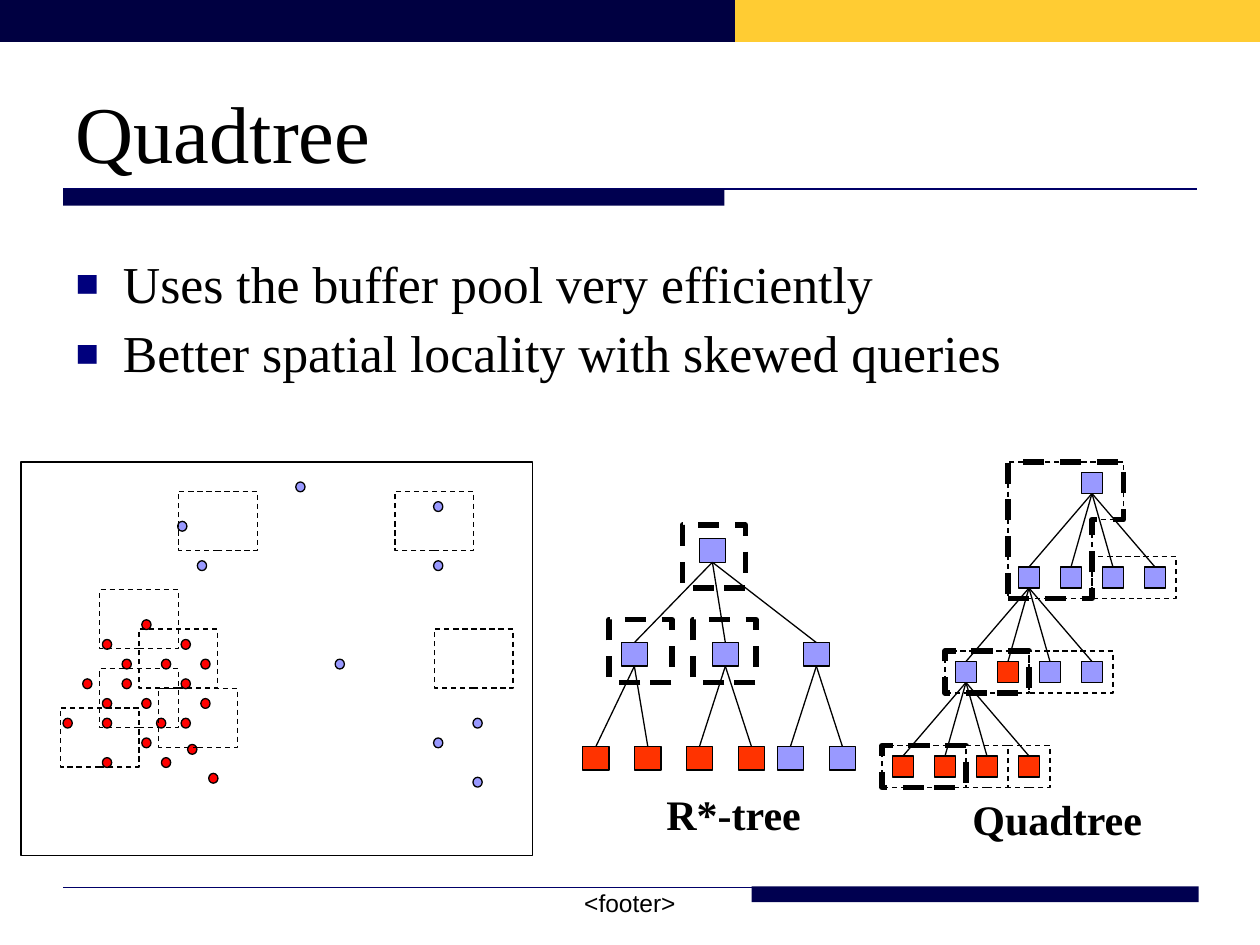
import pptx
import pptx.util
import pptx.dml.color
import pptx.enum.dml
import pptx.enum.shapes
import pptx.enum.text
import pptx.oxml
import pptx.oxml.ns

Pt = pptx.util.Pt
Kind = pptx.enum.shapes.MSO_SHAPE
Align = pptx.enum.text.PP_ALIGN
Anchor = pptx.enum.text.MSO_ANCHOR

COLORS = {
    "black": "000000", "navy": "000041", "bar": "000050", "rule": "000067",
    "gold": "FFCC33", "bullet": "00007D", "blue": "9999FF",
    "orange": "FF3300", "red": "FF0000",
}
SERIF = "Times New Roman"

# Plot of points: one grid step for dots and windows
STEP = 11.25
RED_DOTS = [(4, 0), (3, 2), (5, 2), (4, 4), (2, 4), (6, 5), (2, 1), (1, 3),
            (3, 3), (2, 5), (0, 5), (4, 6), (2, 7), (6, 3), (5, 7),
            (6.33, 6.33), (7, 4), (6, 1), (7, 2), (4.75, 5), (7.4, 7.8)]
BLUE_DOTS = [(6, -5), (7, -3), (19, -3), (19, -6), (12, -7), (19, 6),
             (21, 5), (14, 2), (21, 8)]
WINDOWS = [(2, 0), (4, 2), (2, 4), (0, 6), (6, -5), (17, -5), (19, 2), (5, 5)]

# Quadtree pages, on a pitch of 24 points
PITCH = 24
HOT = [(540, 372, 48, PITCH), (504, 426, 48, PITCH)]
COLD = [(576, 426, PITCH, PITCH), (552, 426, PITCH, PITCH),
        (588, 372, 48, PITCH), (624, 318, 48, PITCH)]
TOP_PAGE = [(576, 342), (624, 342), (624, 297), (642, 297), (642, 264),
            (576, 264)]


def rgb(name):
    return pptx.dml.color.RGBColor.from_string(COLORS[name])


def style(shape, fill=None, line=None, width=0.75, dash=False):
    shape.shadow.inherit = False
    if fill:
        shape.fill.solid()
        shape.fill.fore_color.rgb = rgb(fill)
    else:
        shape.fill.background()
    if line:
        shape.line.color.rgb = rgb(line)
        shape.line.width = Pt(width)
        if dash:
            shape.line.dash_style = pptx.enum.dml.MSO_LINE.DASH
    else:
        shape.line.fill.background()
    return shape


def box(slide, x, y, w, h, kind=Kind.RECTANGLE, **look):
    shape = slide.shapes.add_shape(kind, Pt(x), Pt(y), Pt(w), Pt(h))
    return style(shape, **look)


def frame(slide, x, y, w, h, width=0.75):
    """Draw a dashed box without fill."""
    return box(slide, x, y, w, h, line="black", width=width, dash=True)


def outline(slide, points, width):
    """Draw a closed dashed outline through the points."""
    first, *rest = [(Pt(x), Pt(y)) for x, y in points]
    builder = slide.shapes.build_freeform(*first, scale=1.0)
    builder.add_line_segments(rest, close=True)
    style(builder.convert_to_shape(), line="black", width=width, dash=True)


def line(slide, x1, y1, x2, y2, color="black"):
    wire = slide.shapes.add_connector(
        pptx.enum.shapes.MSO_CONNECTOR.STRAIGHT,
        Pt(x1), Pt(y1), Pt(x2), Pt(y2))
    wire.line.color.rgb = rgb(color)
    wire.line.width = Pt(0.75)
    wire._element.spPr.append(pptx.oxml.parse_xml(
        "<a:effectLst %s/>" % pptx.oxml.ns.nsdecls("a")))
    return wire


def link(slide, parent, child):
    wire = line(slide, 0, 0, 0, 0)
    wire.begin_connect(parent, 2)
    wire.end_connect(child, 0)


def write(para, text, size, font=SERIF, bold=False, align=Align.LEFT):
    para.alignment = align
    run = para.add_run()
    run.text = text
    run.font.size = Pt(size)
    run.font.name = font
    run.font.bold = bold
    run.font.color.rgb = rgb("black")


def label(slide, text, x, y, w, h, wrap=False, **form):
    shape = slide.shapes.add_textbox(Pt(x), Pt(y), Pt(w), Pt(h))
    shape.text_frame.word_wrap = wrap
    write(shape.text_frame.paragraphs[0], text, **form)


def place(shape, x, y, w, h, anchor):
    shape.left, shape.top, shape.width, shape.height = map(Pt, (x, y, w, h))
    shape.text_frame.auto_size = pptx.enum.text.MSO_AUTO_SIZE.NONE
    shape.text_frame.vertical_anchor = anchor
    return shape.text_frame


def bullet(para):
    props = para._p.get_or_add_pPr()
    props.set("marL", str(Pt(27)))
    props.set("indent", str(-Pt(27)))
    space = pptx.oxml.ns.nsdecls("a")
    for mark in ('<a:buClr %s><a:srgbClr val="' + COLORS["bullet"]
                 + '"/></a:buClr>',
                 '<a:buSzPct %s val="75000"/>',
                 '<a:buFont %s typeface="Arial"/>',
                 '<a:buChar %s char="■"/>'):
        props.append(pptx.oxml.parse_xml(mark % space))


def fill_list(text, items):
    for i, item in enumerate(items):
        para = text.add_paragraph() if i else text.paragraphs[0]
        bullet(para)
        para.line_spacing = 0.9
        para.space_before = Pt(8 if i else 0)
        write(para, item, 29.6)


def bands(slide):
    """Draw the bars and rules at the top, title and foot."""
    line(slide, 36, 507, 684, 507, "rule")
    line(slide, 36, 108, 684, 108, "rule")
    for x, y, w, h, color in [(429.5, 506.5, 255.5, 9, "bar"),
                              (408, 0, 312, 24, "gold"),
                              (0, 0, 420, 24, "navy"),
                              (36, 108, 378, 9.5, "bar")]:
        box(slide, x, y, w, h, fill=color)


def rtree(slide):
    def node(x, row, color):
        return box(slide, x, 307.8 + 59.4 * row, 15, 13.5,
                   fill=color, line="black")

    root = node(399.6, 0, "blue")
    for i, (start, color) in enumerate([(333, "orange"), (392.2, "orange"),
                                        (444.2, "blue")]):
        parent = node(355 + 52 * i, 1, "blue")
        link(slide, root, parent)
        for j in range(2):
            link(slide, parent, node(start + 29.7 * j, 2, color))
    label(slide, "R*-tree", 373.7, 447, 91.5, 36, size=24, bold=True)


def quadtree(slide):
    def node(x, y, color):
        return box(slide, x, y, 12, 12, fill=color, line="black")

    parent = node(618, 270, "blue")
    rows = [["blue"] * 4, ["blue", "orange", "blue", "blue"], ["orange"] * 4]
    for i, row in enumerate(rows):
        nodes = [node(582 - 36 * i + PITCH * j, 324 + 54 * i, color)
                 for j, color in enumerate(row)]
        for child in nodes:
            link(slide, parent, child)
        parent = nodes[0]
    for page in HOT + COLD:
        frame(slide, *page)
    outline(slide, TOP_PAGE, 0.75)
    label(slide, "Quadtree", 548.6, 450, 111.6, 36, size=24, bold=True)


def plot(slide):
    box(slide, 12, 264, 292.4, 224.8, line="black")
    for dots, left, color in [(RED_DOTS, 36, "red"), (BLUE_DOTS, 34, "blue")]:
        for col, row in dots:
            box(slide, left + STEP * col, 354.2 + STEP * row, 5.3, 5.6,
                Kind.OVAL, fill=color, line="black")
    for col, row in WINDOWS:
        frame(slide, 34.5 + STEP * col, 337 + STEP * row, 4 * STEP, 3 * STEP)


def buffer(slide):
    """Mark the pages held in the buffer with thick frames."""
    for page in HOT:
        frame(slide, *page, width=3)
    outline(slide, TOP_PAGE, 3)
    for x, y in [(390, 300), (396, 354), (348, 354)]:
        frame(slide, x, y, 36, 36, width=3)


def main():
    deck = pptx.Presentation()
    deck.slide_width, deck.slide_height = Pt(720), Pt(540)
    slide = deck.slides.add_slide(deck.slide_layouts[1])
    bands(slide)
    label(slide, "<footer>", 246, 504, 228, 19.5, wrap=True,
          size=14, font="Arial", align=Align.CENTER)
    title = place(slide.shapes.title, 36, 36, 648, 78, Anchor.MIDDLE)
    write(title.paragraphs[0], "Quadtree", 46)
    body = place(slide.placeholders[1], 36, 144, 648, 90, Anchor.TOP)
    fill_list(body, ["Uses the buffer pool very efficiently",
                     "Better spatial locality with skewed queries"])
    rtree(slide)
    quadtree(slide)
    plot(slide)
    buffer(slide)
    deck.save("out.pptx")


if __name__ == "__main__":
    main()
